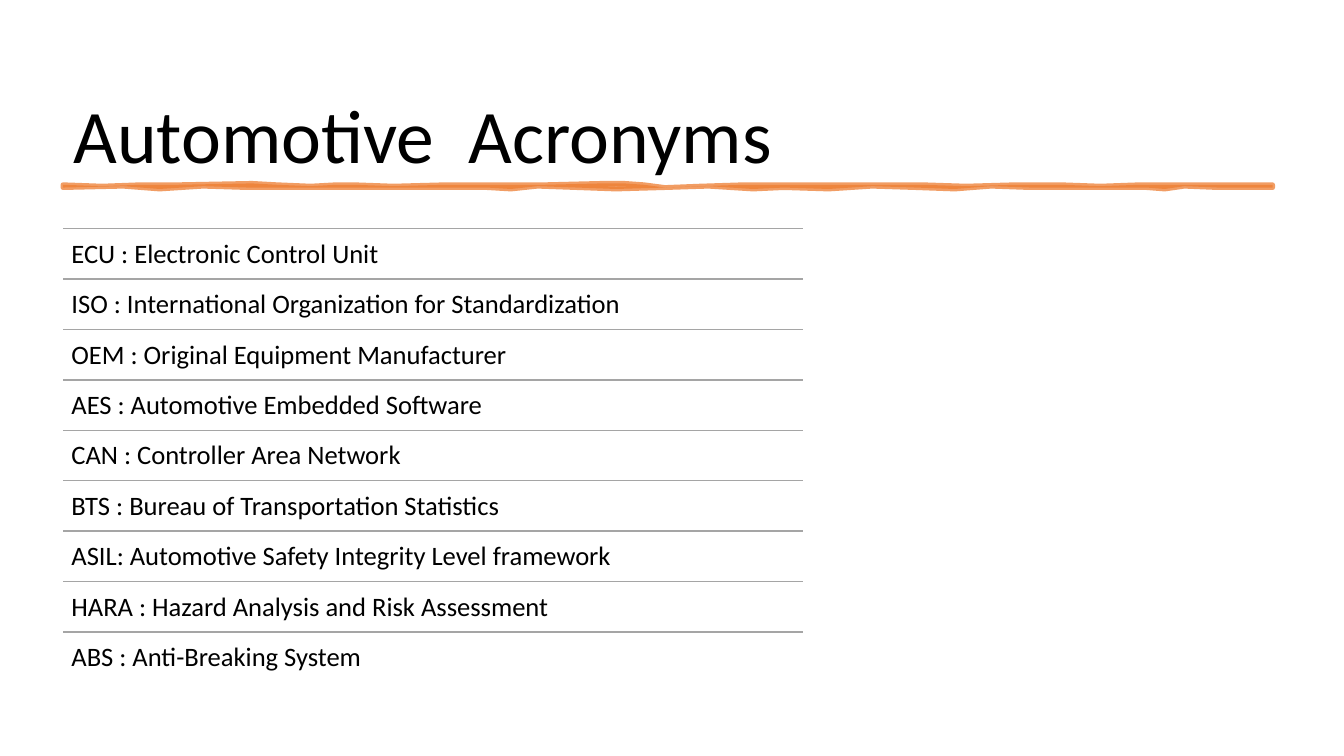
from lxml.etree import SubElement
from pptx import Presentation
from pptx.dml.color import RGBColor
from pptx.enum.shapes import MSO_CONNECTOR
from pptx.enum.text import MSO_ANCHOR
from pptx.oxml.ns import qn
from pptx.util import Pt

BLACK = RGBColor(0x00, 0x00, 0x00)
ORANGE = RGBColor(0xED, 0x7D, 0x31)
GREY = RGBColor(0xA5, 0xA5, 0xA5)

LEFT = 45.36
ROW_TOP, ROW_HEIGHT, ROW_WIDTH = 163.44, 36, 528.5
ACRONYMS = [
    "ECU : Electronic Control Unit",
    "ISO : International Organization for Standardization",
    "OEM : Original Equipment Manufacturer",
    "AES : Automotive Embedded Software",
    "CAN : Controller Area Network",
    "BTS : Bureau of Transportation Statistics",
    "ASIL: Automotive Safety Integrity Level framework",
    "HARA : Hazard Analysis and Risk Assessment",
    "ABS : Anti-Breaking System",
]
BRUSH_TOP = [
    (LEFT, 132.5), (73, 132.7), (100, 131.8), (127, 132.5), (180, 131.3),
    (198, 132.5), (222, 133.3), (240, 131.6), (253, 132.5), (281, 133),
    (318, 132), (389, 132.5), (430, 131), (446, 131.2), (460, 132.5),
    (475, 133.9), (500, 133), (531, 132.5), (613, 132.3), (659, 132),
    (690, 133), (725, 131.6), (758, 132), (786, 132.8), (814, 132.2),
    (860, 132), (909.4, 132.5),
]
BRUSH_BOTTOM = [
    (909.4, 134), (870, 134.3), (846, 133), (832, 135), (819, 134),
    (790, 133.7), (736, 134.2), (708, 133.3), (682, 134.9), (654, 134),
    (623, 133.3), (592, 134.6), (560, 134.4), (538, 135), (506, 132.7),
    (475, 133.5), (440, 134.6), (412, 133.9), (384, 133.2), (365, 134.6),
    (348, 133.9), (248, 134), (177, 134.2), (145, 133.4), (114, 135),
    (88, 132.8), (LEFT, 133.9),
]


def add_text(text, place, size, frame_format):
    box = page.shapes.add_textbox(*[Pt(length) for length in place])
    frame = box.text_frame
    for name, value in frame_format.items():
        setattr(frame, name, value)
    para = frame.paragraphs[0]
    span = para.add_run()
    span.text = text
    for name, value in {"name": "Calibri", "size": Pt(size)}.items():
        setattr(span.font, name, value)
    span.font.color.rgb = BLACK
    return para


deck = Presentation()
deck.slide_width, deck.slide_height = Pt(960), Pt(540)
page = deck.slides.add_slide(deck.slide_layouts[6])

title = add_text("Automotive  Acronyms", (LEFT, 18.72, 867.6, 113.04), 54,
                 {"word_wrap": True, "vertical_anchor": MSO_ANCHOR.BOTTOM})
title.line_spacing = 0.9

outline = BRUSH_TOP + BRUSH_BOTTOM
builder = page.shapes.build_freeform(*outline[0], scale=Pt(1))
builder.add_line_segments(outline[1:], close=True)
brush = builder.convert_to_shape()
brush.shadow.inherit = False
brush.line.width = Pt(3.5)
for paint in (brush.fill, brush.line.fill):
    paint.solid()
    paint.fore_color.rgb = ORANGE
for color in brush.element.spPr.iter(qn("a:srgbClr")):
    SubElement(color, qn("a:alpha"), val="75000")
SubElement(brush.line.fill._xPr, qn("a:round"))

row_format = {"word_wrap": True, "vertical_anchor": MSO_ANCHOR.TOP}
for side in ("left", "top", "right", "bottom"):
    row_format[f"margin_{side}"] = Pt(5.7)

for index, acronym in enumerate(ACRONYMS):
    top = ROW_TOP + index * ROW_HEIGHT
    rule = page.shapes.add_connector(MSO_CONNECTOR.STRAIGHT, Pt(LEFT), Pt(top),
                                     Pt(LEFT + ROW_WIDTH), Pt(top))
    rule.line.color.rgb = GREY
    rule.line.width = Pt(1)
    SubElement(rule.element.spPr, qn("a:effectLst"))
    add_text(acronym, (LEFT, top, ROW_WIDTH, ROW_HEIGHT), 19, row_format)

deck.save("out.pptx")
